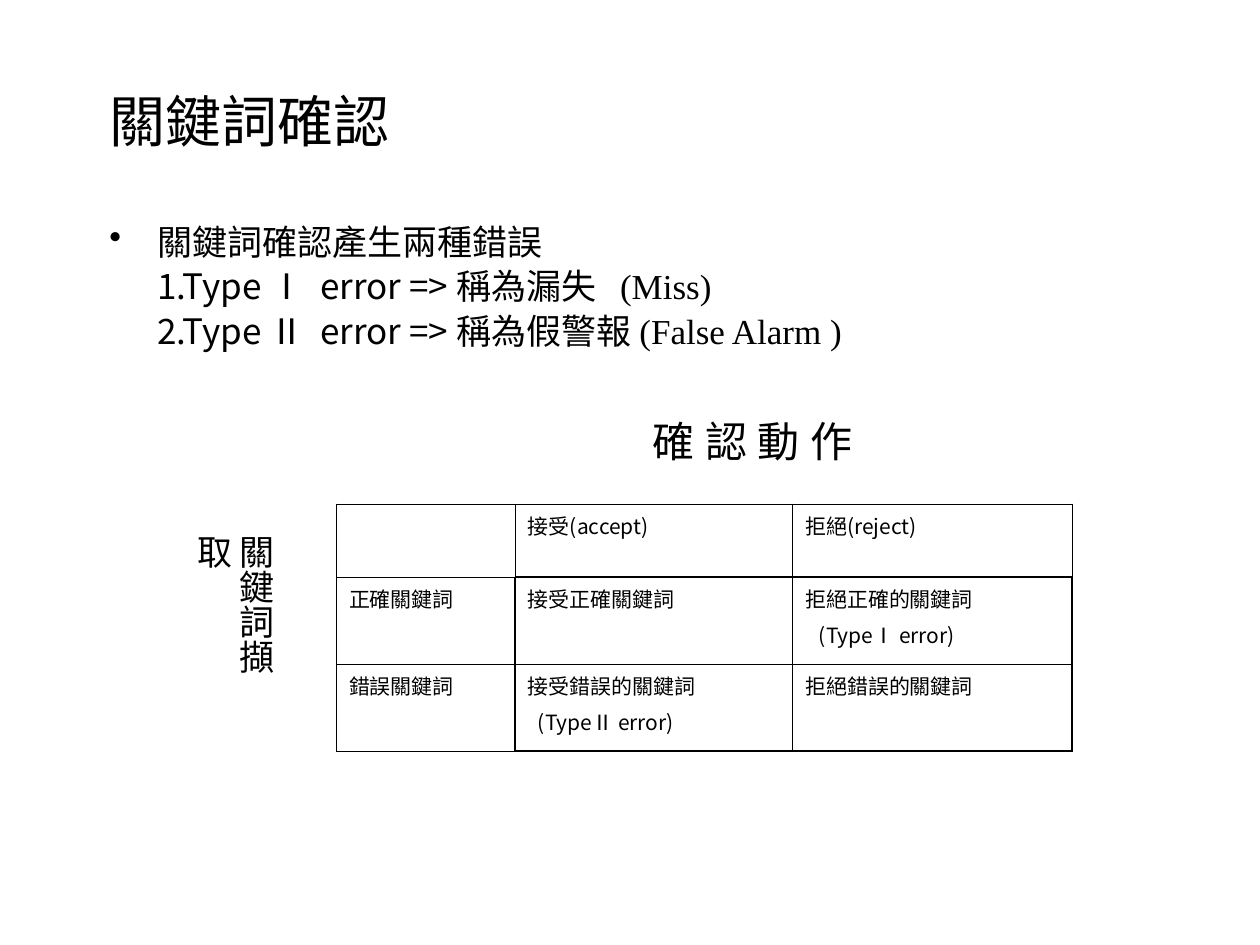
from typing import NamedTuple

from lxml.etree import SubElement
from pptx import Presentation
from pptx.dml.color import RGBColor
from pptx.enum.text import MSO_ANCHOR, MSO_AUTO_SIZE, PP_ALIGN
from pptx.oxml import parse_xml
from pptx.oxml.ns import nsdecls, qn
from pptx.util import Inches, Pt

KR, SC = "Noto Sans CJK KR", "Noto Sans CJK SC"
TIMES, LATO = "Times New Roman", "Lato"
BLACK = "000000"
THIN, THICK = 0.45, 1.47


class Piece(NamedTuple):
    text: str
    face: str
    gap: float = 0  # extra letter spacing in points


class Line(NamedTuple):
    pieces: list[Piece]
    left: float = 0
    hang: float = 0
    bullet: str = ""


class Label(NamedTuple):
    text: str
    box: tuple[float, float, float, float]
    size: int
    turn: str = "horz"


def paint(code: str) -> RGBColor:
    return RGBColor.from_string(code)


def apply(thing, values: dict) -> None:
    for name, value in values.items():
        setattr(thing, name, value)


def style(run, piece: Piece, size: float) -> None:
    apply(run.font, {"name": piece.face, "size": Pt(size), "bold": False})
    run.font.color.rgb = paint(BLACK)
    props = run._r.get_or_add_rPr()
    SubElement(props, qn("a:ea")).set("typeface", piece.face)
    if piece.gap:
        props.set("spc", str(round(piece.gap * 100)))


def write(frame, lines: list[Line], size: float, above: float = 0,
          pitch: float = 1.0) -> None:
    for i, line in enumerate(lines):
        para = frame.paragraphs[0] if i == 0 else frame.add_paragraph()
        props = para._p.get_or_add_pPr()
        props.set("marL", str(Inches(line.left)))
        props.set("indent", str(Inches(line.hang)))
        if line.bullet:
            SubElement(props, qn("a:buChar")).set("char", line.bullet)
        else:
            SubElement(props, qn("a:buNone"))
        apply(para, {"alignment": PP_ALIGN.LEFT, "line_spacing": pitch,
                     "space_before": Pt(above if i else 0)})
        for piece in line.pieces:
            run = para.add_run()
            run.text = piece.text
            style(run, piece, size)


def add_box(slide, box: tuple[float, float, float, float]):
    frame = slide.shapes.add_textbox(*map(Inches, box)).text_frame
    frame.word_wrap = True
    return frame


def add_label(slide, label: Label) -> None:
    frame = add_box(slide, label.box)
    frame.auto_size = MSO_AUTO_SIZE.SHAPE_TO_FIT_TEXT
    if label.turn != "horz":
        frame._txBody.bodyPr.set("vert", label.turn)
        apply(frame, {"margin_left": Inches(0.05), "margin_right": Inches(0.05),
                      "margin_top": Inches(0.1), "margin_bottom": Inches(0.1)})
    write(frame, [Line([Piece(label.text, LATO)])], label.size)


def edge(cell, widths: dict[str, float]) -> None:
    """Give the cell its borders, keyed by side: L, R, T, B."""
    props = cell._tc.get_or_add_tcPr()
    for i, (side, width) in enumerate(widths.items()):
        props.insert(i, parse_xml(
            f'<a:ln{side} {nsdecls("a")} w="{Pt(width)}"><a:solidFill>'
            f'<a:srgbClr val="{BLACK}"/></a:solidFill></a:ln{side}>'))


def add_grid(slide, rows: list[list[list[Line]]]) -> None:
    wide, high = [1.42, 2.2, 2.22], [0.58, 0.69, 0.69]
    box = (2.67, 4, sum(wide), sum(high))
    table = slide.shapes.add_table(3, 3, *map(Inches, box)).table
    apply(table, {"first_row": False, "horz_banding": False})
    for i in range(3):
        table.columns[i].width = Inches(wide[i])
        table.rows[i].height = Inches(high[i])
    for r, row in enumerate(rows):
        for c, lines in enumerate(row):
            cell = table.cell(r, c)
            cell.fill.background()
            write(cell.text_frame, lines, 12, 3)
            # The thick frame runs round the four result cells.
            bold = {"L": r > 0 and c == 1, "R": r > 0 and c != 1,
                    "T": c > 0 and r == 1, "B": c > 0 and r != 1}
            edge(cell, {side: THICK if on else THIN
                        for side, on in bold.items()})


def plain(text: str) -> Line:
    return Line([Piece(text, KR)])


def fault(mark: str, left: float) -> Line:
    return Line([Piece("(Type", KR), Piece(mark, SC), Piece(" error)", KR)],
                left)


def kind(head: str, name: str, term: str, gap: float) -> Line:
    return Line([Piece(head, SC), Piece(" ", SC, 4.5),
                 Piece(f"error => {name}", SC), Piece(" ", SC, gap),
                 Piece(term, TIMES)], 0.38)


POINTS = [
    Line([Piece("關鍵詞確認產生兩種錯誤", SC)], 0.38, -0.38, "•"),
    kind("1.Type Ⅰ", "稱為漏失", "(Miss)", 9),
    kind("2.Type Ⅱ", "稱為假警報", "(False Alarm )", 0),
]
CELLS = [
    [[], [plain("接受(accept)")], [plain("拒絕(reject)")]],
    [[plain("正確關鍵詞")], [plain("接受正確關鍵詞")],
     [plain("拒絕正確的關鍵詞"), fault("Ⅰ", 0.11)]],
    [[plain("錯誤關鍵詞")],
     [plain("接受錯誤的關鍵詞"), fault("Ⅱ", 0.08)],
     [plain("拒絕錯誤的關鍵詞")]],
]
LABELS = [
    Label("關鍵詞擷取", (1.72, 4.14, 0.53, 1.52), 20, "eaVert"),
    Label("確 認 動 作", (5.08, 3.25, 2, 0.5), 24),
]


def main() -> None:
    deck = Presentation()
    apply(deck, {"slide_width": Inches(10), "slide_height": Inches(7.5)})
    slide = deck.slides.add_slide(deck.slide_layouts[5])
    title = slide.shapes.title
    apply(title, {"left": Inches(0.77), "top": Inches(0.33),
                  "width": Inches(8.5), "height": Inches(1.25)})
    title.text_frame.vertical_anchor = MSO_ANCHOR.MIDDLE
    write(title.text_frame, [plain("關鍵詞確認")], 32)
    write(add_box(slide, (0.77, 1.75, 8.5, 4.42)), POINTS, 20, 5, 0.85)
    add_grid(slide, CELLS)
    for label in LABELS:
        add_label(slide, label)
    deck.save("out.pptx")


if __name__ == "__main__":
    main()
